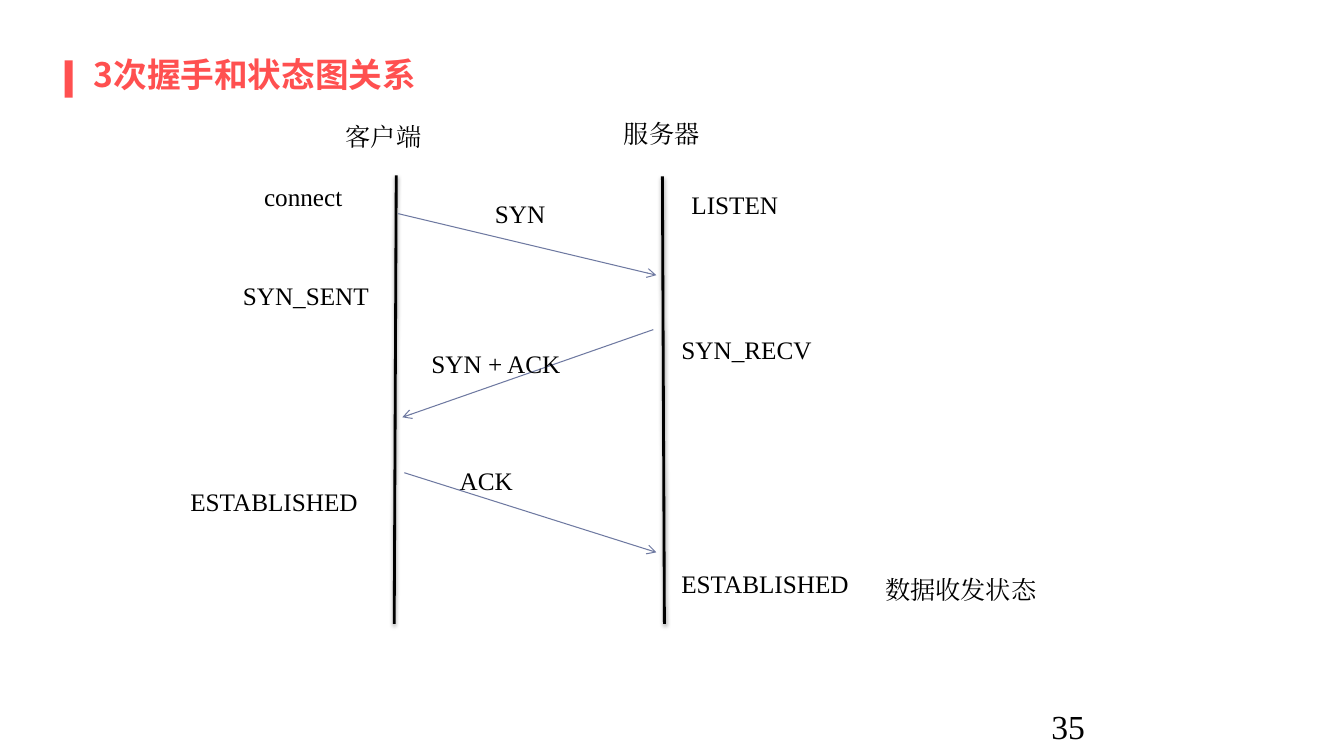
from lxml.etree import SubElement
from pptx import Presentation
from pptx.dml.color import RGBColor
from pptx.enum.shapes import MSO_CONNECTOR as Connector, MSO_SHAPE as Shape
from pptx.enum.text import MSO_ANCHOR as Anchor
from pptx.oxml.ns import qn
from pptx.util import Inches, Pt

TITLE_FONT, BODY_FONT = "Noto Sans CJK SC", "Times New Roman"
ACCENT, BLACK, ARROW = "FF5050", "000000", "6E79A1"
LABEL_HEIGHT = 0.4


def color(hex_code):
    return RGBColor.from_string(hex_code)


def add_text(slide, box, text, size=18, font=BODY_FONT, hex_code=BLACK,
             bold=False, wrap=True, anchor=Anchor.TOP):
    frame = slide.shapes.add_textbox(*map(Inches, box)).text_frame
    frame.word_wrap = wrap
    frame.vertical_anchor = anchor
    run = frame.paragraphs[0].add_run()
    run.text = text
    run.font.size = Pt(size)
    run.font.name = font
    run.font.bold = bold
    run.font.color.rgb = color(hex_code)
    SubElement(run._r.get_or_add_rPr(), qn("a:ea"), typeface=font)


def add_line(slide, start, end, hex_code, width):
    line = slide.shapes.add_connector(
        Connector.STRAIGHT, *map(Inches, (*start, *end)))
    line.line.color.rgb = color(hex_code)
    line.line.width = Pt(width)
    effects = SubElement(line._element.spPr, qn("a:effectLst"))
    return line, effects


def add_lifeline(slide, start, end):
    _, effects = add_line(slide, start, end, BLACK, 2)
    shadow = SubElement(effects, qn("a:outerShdw"), blurRad=str(Pt(3.1)),
                        dist=str(Pt(1.6)), dir="5400000", rotWithShape="0")
    shade = SubElement(shadow, qn("a:srgbClr"), val=BLACK)
    SubElement(shade, qn("a:alpha"), val="38000")


def add_message(slide, start, end):
    arrow, _ = add_line(slide, start, end, ARROW, 0.75)
    SubElement(arrow.line._get_or_add_ln(), qn("a:tailEnd"), type="arrow")


def add_heading(slide, left, top, width, height):
    # Accent bar, then the title beside it
    bar = slide.shapes.add_shape(
        Shape.RECTANGLE, *map(Inches, (left, top + 0.09, 0.08, 0.37)))
    bar.shadow.inherit = False
    bar.fill.solid()
    bar.fill.fore_color.rgb = color(ACCENT)
    bar.line.fill.background()
    add_text(slide, (left + 0.19, top, width - 0.19, height),
             "3次握手和状态图关系", 24, TITLE_FONT, ACCENT, bold=True,
             anchor=Anchor.MIDDLE)


def add_handshake(slide, left, top):
    """Sequence diagram; offsets are measured from its top left corner."""
    def at(x, y):
        return left + x, top + y

    # Lifelines of client and server
    lifelines = [((2.14, 0.62), (2.12, 5.07)), ((4.78, 0.63), (4.80, 5.07))]
    for start, end in lifelines:
        add_lifeline(slide, at(*start), at(*end))

    # Messages: start, end, label position, label width, label
    messages = [
        ((2.16, 1.00), (4.72, 1.61), (3.02, 0.80), 1.07, "SYN"),
        ((4.69, 2.15), (2.20, 3.02), (2.39, 2.29), 1.70, "SYN + ACK"),
        ((2.22, 3.57), (4.72, 4.36), (2.67, 3.45), 1.65, "ACK"),
    ]
    for start, end, label_at, width, label in messages:
        add_message(slide, at(*start), at(*end))
        add_text(slide, (*at(*label_at), width, LABEL_HEIGHT), label)

    # Participants and their states: x, y, width, label
    states = [
        (1.54, 0.03, 0.95, "客户端"),
        (4.30, 0.00, 0.95, "服务器"),
        (0.73, 0.63, 1.32, "connect"),
        (0.52, 1.61, 1.45, "SYN_SENT"),
        (0.00, 3.66, 1.86, "ESTABLISHED"),
        (4.97, 0.71, 1.06, "LISTEN"),
        (4.87, 2.15, 1.49, "SYN_RECV"),
        (4.87, 4.47, 1.86, "ESTABLISHED"),
        (6.89, 4.53, 1.71, "数据收发状态"),
    ]
    for x, y, width, label in states:
        add_text(slide, (*at(x, y), width, LABEL_HEIGHT), label, wrap=False)


def main():
    deck = Presentation()
    deck.slide_width, deck.slide_height = Inches(13.33), Inches(7.5)
    slide = deck.slides.add_slide(deck.slide_layouts[6])
    add_heading(slide, 0.64, 0.51, 11.87, 0.46)
    add_handshake(slide, 1.79, 1.12)
    # Page number
    add_text(slide, (10.33, 6.95, 3, LABEL_HEIGHT), "35", 24)
    deck.save("out.pptx")


if __name__ == "__main__":
    main()
